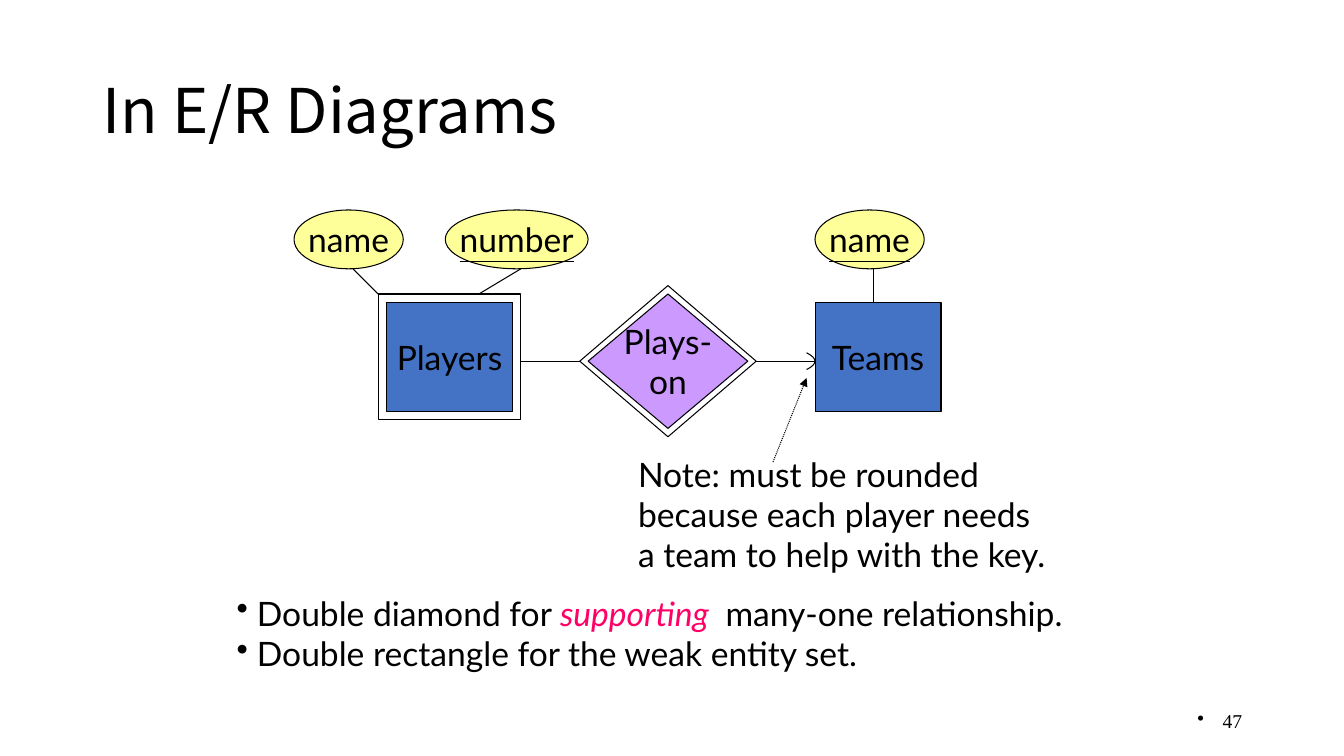
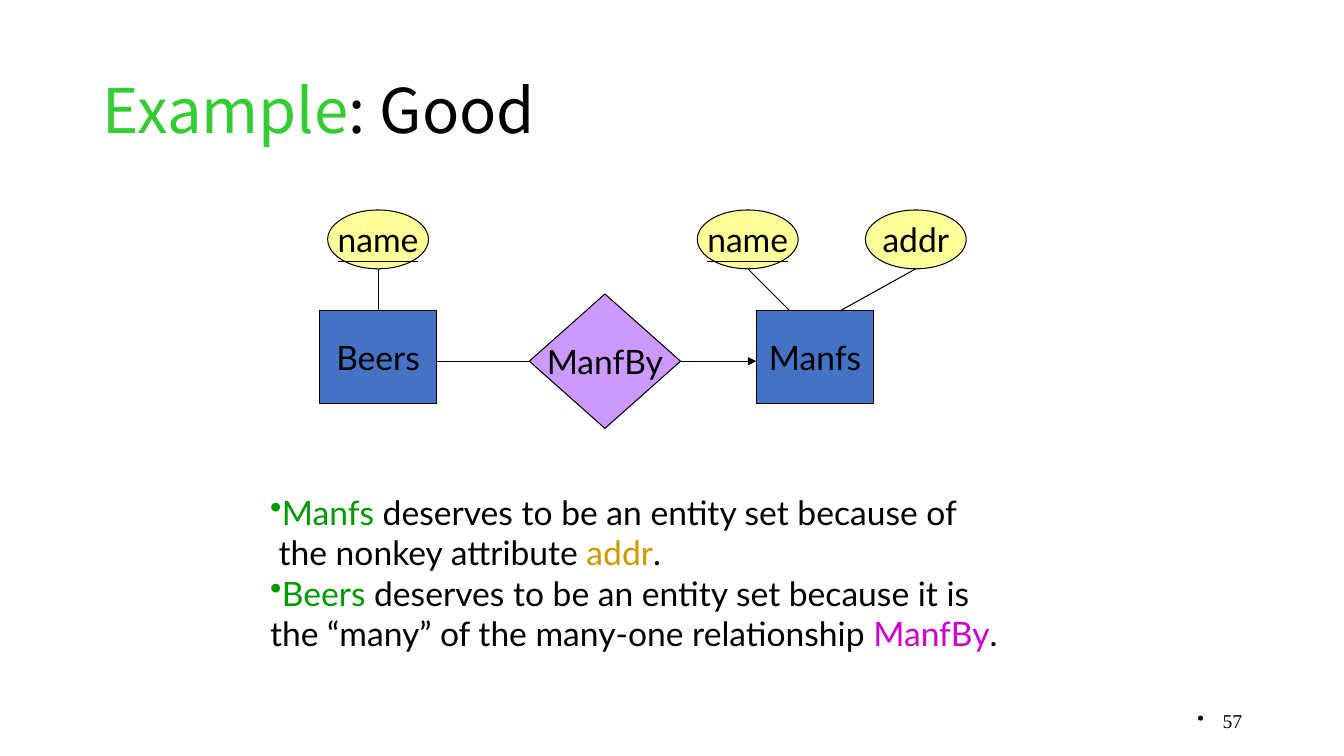
"""Build two entity-relationship slides."""
from dataclasses import dataclass

from lxml import etree
from pptx import Presentation
from pptx import util as u
from pptx.dml.color import RGBColor
from pptx.enum import dml, shapes, text
from pptx.oxml.ns import qn

KIND = shapes.MSO_SHAPE


@dataclass(frozen=True)
class Theme:
    """Colours, fonts and sizes of the deck."""
    ink: str = "000000"
    entity: str = "4472C4"
    attr: str = "FFFF99"
    relate: str = "CC99FF"
    lime: str = "33CC33"
    green: str = "009900"
    gold: str = "CC9900"
    violet: str = "CC00CC"
    pink: str = "FF0066"
    head: str = "Noto Sans CJK SC"
    body: str = "Lato"
    foot: str = "Times New Roman"
    big: int = 44
    mid: int = 24
    small: int = 14
    rule: float = 0.75


T = Theme()


def rgb(code):
    """Turn a hex code into a colour."""
    return RGBColor.from_string(code)


def grid(*units):
    """Turn diagram units, twelve to the inch, into lengths."""
    return [u.Inches(n / 12) for n in units]


def add_run(para, words, color=T.ink, face=T.body, size=T.mid,
            italic=None, under=None):
    """Add one formatted run."""
    run = para.add_run()
    run.text = words
    font = run.font
    font.name, font.size = face, u.Pt(size)
    font.color.rgb = rgb(color)
    font.italic, font.underline = italic, under


def add_dot(para, hang):
    """Give a paragraph a bullet with a hanging indent."""
    props = para._p.get_or_add_pPr()
    props.set("marL", str(u.Inches(hang)))
    props.set("indent", str(-u.Inches(hang)))
    etree.SubElement(props, qn("a:buChar")).set("char", "•")


def next_para(frame, index):
    """Return the first paragraph, or a new one after it."""
    return frame.add_paragraph() if index else frame.paragraphs[0]


def start(deck, number, title):
    """Add a slide with its title and number."""
    slide = deck.slides.add_slide(deck.slide_layouts[5])
    box = slide.shapes.title
    box.left, box.top = u.Inches(0.92), u.Inches(0.4)
    box.width, box.height = u.Inches(11.5), u.Inches(1.45)
    frame = box.text_frame
    frame.auto_size = text.MSO_AUTO_SIZE.NONE
    frame.vertical_anchor = text.MSO_ANCHOR.MIDDLE
    para = frame.paragraphs[0]
    para.alignment = text.PP_ALIGN.LEFT
    para.line_spacing = 0.9
    for words, color in title:
        add_run(para, words, color, T.head, T.big)

    box = slide.shapes.add_textbox(
        u.Inches(9.42), u.Inches(6.95), u.Inches(3), u.Inches(0.4))
    frame = box.text_frame
    frame.word_wrap = True
    frame.vertical_anchor = text.MSO_ANCHOR.MIDDLE
    para = frame.paragraphs[0]
    para.alignment = text.PP_ALIGN.RIGHT
    add_dot(para, 0.25)
    add_run(para, str(number), face=T.foot, size=T.small)
    return slide


def outline(shape, fill=None):
    """Give a shape a thin line and an optional fill."""
    shape.shadow.inherit = False
    shape.line.color.rgb = rgb(T.ink)
    shape.line.width = u.Pt(T.rule)
    if fill:
        shape.fill.solid()
        shape.fill.fore_color.rgb = rgb(fill)
    else:
        shape.fill.background()


def node(slide, kind, at, fill=None, lines=(), key=False):
    """Add a diagram node with centred lines of text."""
    shape = slide.shapes.add_shape(kind, *grid(*at))
    outline(shape, fill)
    frame = shape.text_frame
    frame.word_wrap = False
    frame.vertical_anchor = text.MSO_ANCHOR.MIDDLE
    for index, words in enumerate(lines):
        para = next_para(frame, index)
        para.alignment = text.PP_ALIGN.CENTER
        add_run(para, words, under=key or None)
    return shape


def entity(slide, at, name):
    """Add an entity rectangle."""
    return node(slide, KIND.RECTANGLE, at, T.entity, [name])


def relate(slide, at, *lines):
    """Add a relationship diamond."""
    return node(slide, KIND.DIAMOND, at, T.relate, lines)


def attr(slide, left, wide, name, key=True):
    """Add an attribute ellipse, underlined if it is a key."""
    return node(slide, KIND.OVAL, (left, 25, wide, 7), T.attr, [name], key)


def double(slide, kind, at):
    """Add the outer outline one unit around a node."""
    left, top, wide, high = at
    return node(slide, kind, (left - 1, top - 1, wide + 2, high + 2))


def link(slide, tail, tip, begin=None, end=None, arrow=False, dots=False):
    """Add a line between two points, joined to shapes if given."""
    line = slide.shapes.add_connector(
        shapes.MSO_CONNECTOR.STRAIGHT, *grid(*tail, *tip))
    if begin:
        line.begin_connect(*begin)
    if end:
        line.end_connect(*end)
    line.line.color.rgb = rgb(T.ink)
    line.line.width = u.Pt(T.rule)
    if dots:
        line.line.dash_style = dml.MSO_LINE.ROUND_DOT
    if arrow:
        props = line.line._get_or_add_ln()
        etree.SubElement(props, qn("a:tailEnd")).set("type", "triangle")
    etree.SubElement(line._element.spPr, qn("a:effectLst"))


def arc(slide, left, mid, steps=8):
    """Add a rounded arrow tip, one unit deep and two high."""
    turns = [2 * n / steps - 1 for n in range(steps + 1)]
    points = [grid(left + 1 - t * t, mid + t) for t in turns]
    path = slide.shapes.build_freeform(*points[0])
    path.add_line_segments(points[1:], close=False)
    outline(path.convert_to_shape())


def prose(slide, at, paras, hang=None):
    """Add a text box of run lists, where None is a line break."""
    box = slide.shapes.add_textbox(*[u.Inches(n) for n in at])
    frame = box.text_frame
    frame.word_wrap = True
    for index, runs in enumerate(paras):
        para = next_para(frame, index)
        if hang is not None:
            add_dot(para, hang)
        for run in runs:
            if run is None:
                para.add_line_break()
            else:
                add_run(para, *run[:2], italic=len(run) > 2 or None)


def weak(deck):
    """Build the weak entity set slide."""
    slide = start(deck, 47, [("In E/R Diagrams", T.ink)])
    player, plays = (46, 36, 15, 13), (70, 35, 19, 16)
    entity(slide, player, "Players")
    entity(slide, (97, 36, 15, 13), "Teams")
    double(slide, KIND.RECTANGLE, player)
    relate(slide, plays, "Plays-", "on")
    ring = double(slide, KIND.DIAMOND, plays)
    attr(slide, 35, 13, "name", key=False)
    attr(slide, 97, 13, "name")
    attr(slide, 53, 17, "number")
    link(slide, (62, 43), (69, 43), end=(ring, 1))
    link(slide, (42, 32), (45, 35))
    link(slide, (62, 32), (57, 35))
    link(slide, (104, 32), (104, 36))
    link(slide, (90, 43), (97, 43), begin=(ring, 3))
    arc(slide, 96, 43)
    prose(slide, (6.23, 4.45, 4.37, 1.31), [
        [("Note: must be rounded", T.ink)],
        [("because each player needs", T.ink)],
        [("a team to help with the key.", T.ink)]])
    link(slide, (92, 55), (96, 45), arrow=True, dots=True)
    prose(slide, (2.25, 5.83, 8.64, 0.91), [
        [("Double diamond for ", T.ink), ("supporting ", T.pink, True),
         (" many-one relationship.", T.ink)],
        [("Double rectangle for the weak entity set.", T.ink)]], 0.2)


def good(deck):
    """Build the good example slide."""
    slide = start(deck, 57, [("Example", T.lime), (": Good", T.ink)])
    entity(slide, (38, 37, 14, 11), "Beers")
    entity(slide, (90, 37, 14, 11), "Manfs")
    maker = relate(slide, (63, 35, 18, 16), "ManfBy")
    for left, name, key in ((39, "name", True), (83, "name", True),
                            (103, "addr", False)):
        attr(slide, left, 12, name, key)
    link(slide, (63, 43), (52, 43), begin=(maker, 1))
    link(slide, (81, 43), (90, 43), begin=(maker, 3), arrow=True)
    for tail, tip in ((45, 45), (89, 94), (109, 100)):
        link(slide, (tail, 32), (tip, 37))
    prose(slide, (2.58, 4.83, 7.52, 1.72), [
        [("Manfs", T.green),
         (" deserves to be an entity set because of", T.ink), None,
         (" the nonkey attribute ", T.ink), ("addr", T.gold), (".", T.ink)],
        [("Beers", T.green),
         (" deserves to be an entity set because it is", T.ink), None,
         ("the “many” of the many-one relationship ", T.ink),
         ("ManfBy", T.violet), (".", T.ink)]], 0)


def main():
    """Build and save the deck."""
    deck = Presentation()
    deck.slide_width, deck.slide_height = u.Inches(13.33), u.Inches(7.5)
    weak(deck)
    good(deck)
    deck.save("out.pptx")


if __name__ == "__main__":
    main()
